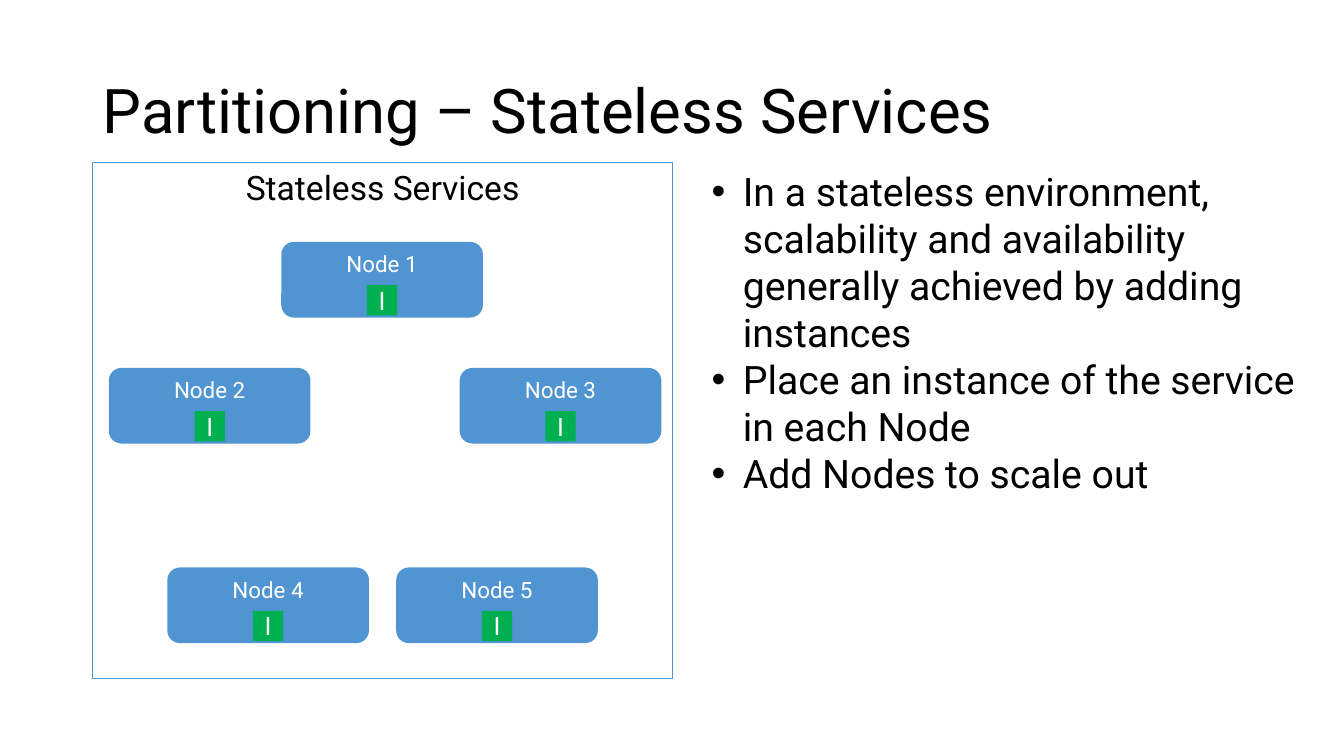
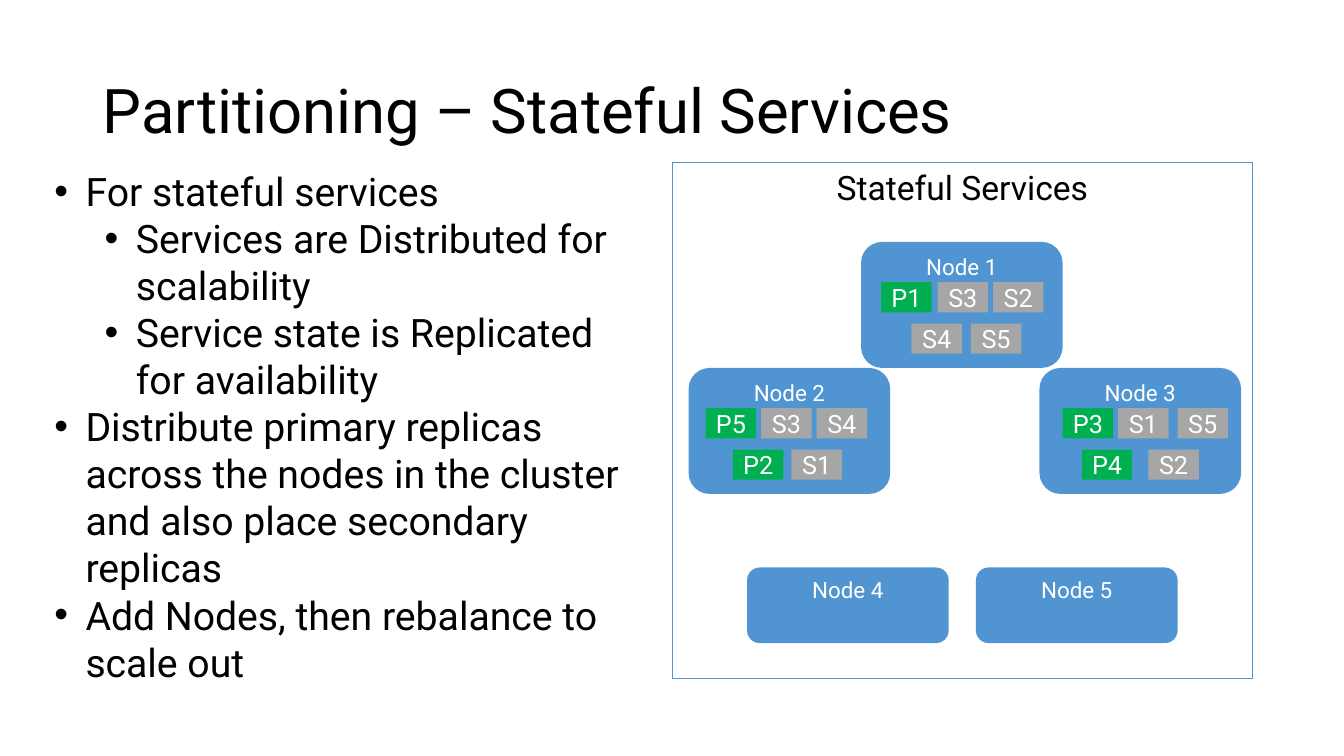
from lxml import etree
from pptx import Presentation
from pptx import util as u
from pptx.dml.color import RGBColor
from pptx.enum import shapes, text
from pptx.oxml.ns import qn

PX = 9144  # 100 px to the inch
FONT = "Roboto"
BLACK = RGBColor(0x00, 0x00, 0x00)
WHITE = RGBColor(0xFF, 0xFF, 0xFF)
BLUE = RGBColor(0x50, 0x95, 0xD1)
GREEN = RGBColor(0x00, 0xB0, 0x50)
GREY = RGBColor(0xA6, 0xA6, 0xA6)

SLIDE_SIZE = (1333, 750)
TITLE_AREA = (92, 40, 1150, 145)
PANEL_TOP, PANEL_SIZE = 161, (575, 512)
NODE_WIDTH = 200
NODE_HEIGHTS = {0: 75, 1: 75, 2: 125}  # by number of replica rows
REPLICA_HEIGHT = 30
BULLET_INDENT, LEVEL_STEP = 31, 50

# Node corners, measured from the left of the panel and the top of the slide
NODES = {
    "Node 1": (187, 240),
    "Node 2": (16, 365),
    "Node 3": (364, 365),
    "Node 4": (74, 563),
    "Node 5": (301, 563),
}

# Replicas are rows of (label, left within the node)
SLIDES = [
    {
        "title": "Partitioning – Stateless Services",
        "panel": ("Stateless Services", 92),
        "replica_width": 30,
        "row_tops": (43,),
        "replicas": {name: [[("I", 85)]] for name in NODES},
        "bullet_area": (696, 161, 610, 340),
        "bullets": [
            (0, "In a stateless environment, scalability and availability "
                "generally achieved by adding instances"),
            (0, "Place an instance of the service in each Node"),
            (0, "Add Nodes to scale out"),
        ],
    },
    {
        "title": "Partitioning – Stateful Services",
        "panel": ("Stateful Services", 667),
        "replica_width": 50,
        "row_tops": (40, 81),
        "replicas": {
            "Node 1": [[("P1", 20), ("S3", 76), ("S2", 131)],
                       [("S4", 50), ("S5", 109)]],
            "Node 2": [[("P5", 17), ("S3", 72), ("S4", 127)],
                       [("P2", 44), ("S1", 102)]],
            "Node 3": [[("P3", 23), ("S1", 78), ("S5", 137)],
                       [("P4", 42), ("S2", 108)]],
        },
        "bullet_area": (44, 161, 610, 528),
        "bullets": [
            (0, "For stateful services"),
            (1, "Services are Distributed for scalability"),
            (1, "Service state is Replicated for availability"),
            (0, "Distribute primary replicas across the nodes in the cluster "
                "and also place secondary replicas"),
            (0, "Add Nodes, then rebalance to scale out"),
        ],
    },
]


def emu(lengths):
    return [length * PX for length in lengths]


def style(para, size, color, align=text.PP_ALIGN.LEFT):
    para.alignment = align
    for span in para.runs:
        span.font.name = FONT
        span.font.size = u.Pt(size)
        span.font.color.rgb = color


def add_box(page, area, label, size, color, fill=None,
            kind=shapes.MSO_SHAPE.RECTANGLE, anchor=text.MSO_ANCHOR.TOP):
    """Add a filled shape without outline, or an outlined one without fill."""
    box = page.shapes.add_shape(kind, *emu(area))
    box.shadow.inherit = False
    if fill is None:
        box.fill.background()
        box.line.color.rgb = BLUE
        box.line.width = u.Pt(1)
    else:
        box.fill.solid()
        box.fill.fore_color.rgb = fill
        box.line.fill.background()
    frame = box.text_frame
    frame.text = label
    frame.vertical_anchor = anchor
    style(frame.paragraphs[0], size, color, text.PP_ALIGN.CENTER)
    return box


def add_title(page, title):
    frame = page.shapes.add_textbox(*emu(TITLE_AREA)).text_frame
    frame.word_wrap = True
    frame.vertical_anchor = text.MSO_ANCHOR.MIDDLE
    frame.text = title
    para = frame.paragraphs[0]
    para.line_spacing = 0.9
    style(para, 44, BLACK)


def add_bullets(page, area, bullets):
    frame = page.shapes.add_textbox(*emu(area)).text_frame
    frame.word_wrap = True
    frame.auto_size = text.MSO_AUTO_SIZE.SHAPE_TO_FIT_TEXT
    frame.text = "\n".join(line for _, line in bullets)
    for para, (level, _) in zip(frame.paragraphs, bullets):
        para.level = level
        style(para, 28, BLACK)
        props = para._p.get_or_add_pPr()
        props.set("marL", str((BULLET_INDENT + level * LEVEL_STEP) * PX))
        props.set("indent", str(-BULLET_INDENT * PX))
        etree.SubElement(props, qn("a:buFont"), typeface="Arial")
        etree.SubElement(props, qn("a:buChar"), char="•")


def add_cluster(page, content):
    """Draw the panel with its nodes and the replicas in each node."""
    heading, panel_left = content["panel"]
    add_box(page, (panel_left, PANEL_TOP, *PANEL_SIZE), heading, 24, BLACK)
    for name, (offset, top) in NODES.items():
        left = panel_left + offset
        rows = content["replicas"].get(name, [])
        add_box(page, (left, top, NODE_WIDTH, NODE_HEIGHTS[len(rows)]), name,
                16, WHITE, BLUE, shapes.MSO_SHAPE.ROUNDED_RECTANGLE)
        for row_top, row in zip(content["row_tops"], rows):
            for label, replica_left in row:
                area = (left + replica_left, top + row_top,
                        content["replica_width"], REPLICA_HEIGHT)
                fill = GREY if label.startswith("S") else GREEN
                replica = add_box(page, area, label, 18, WHITE, fill,
                                  anchor=text.MSO_ANCHOR.MIDDLE)
                replica.text_frame.word_wrap = False


def main():
    deck = Presentation()
    deck.slide_width, deck.slide_height = emu(SLIDE_SIZE)
    for content in SLIDES:
        page = deck.slides.add_slide(deck.slide_layouts[6])
        add_title(page, content["title"])
        add_cluster(page, content)
        add_bullets(page, content["bullet_area"], content["bullets"])
    deck.save("out.pptx")


if __name__ == "__main__":
    main()
